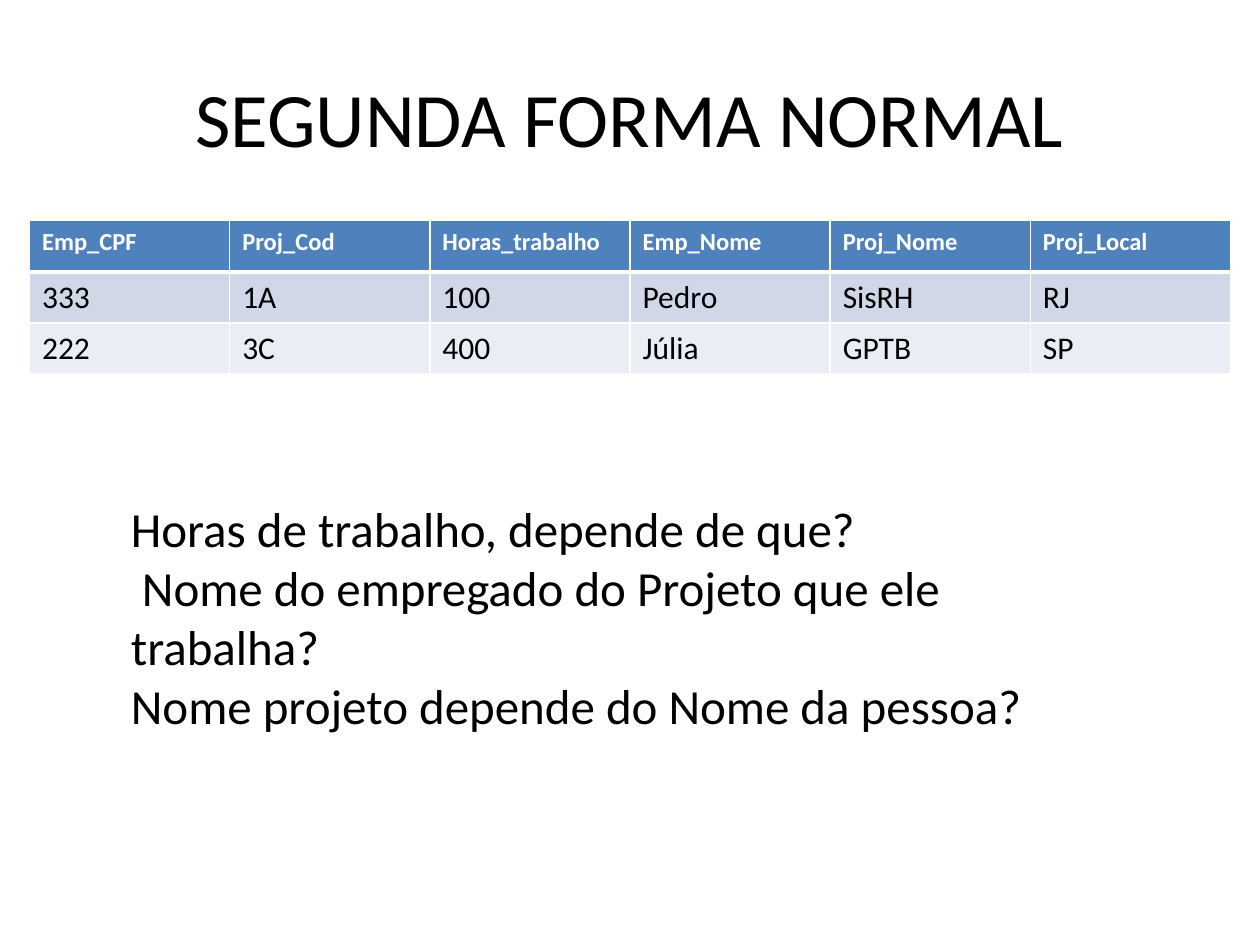
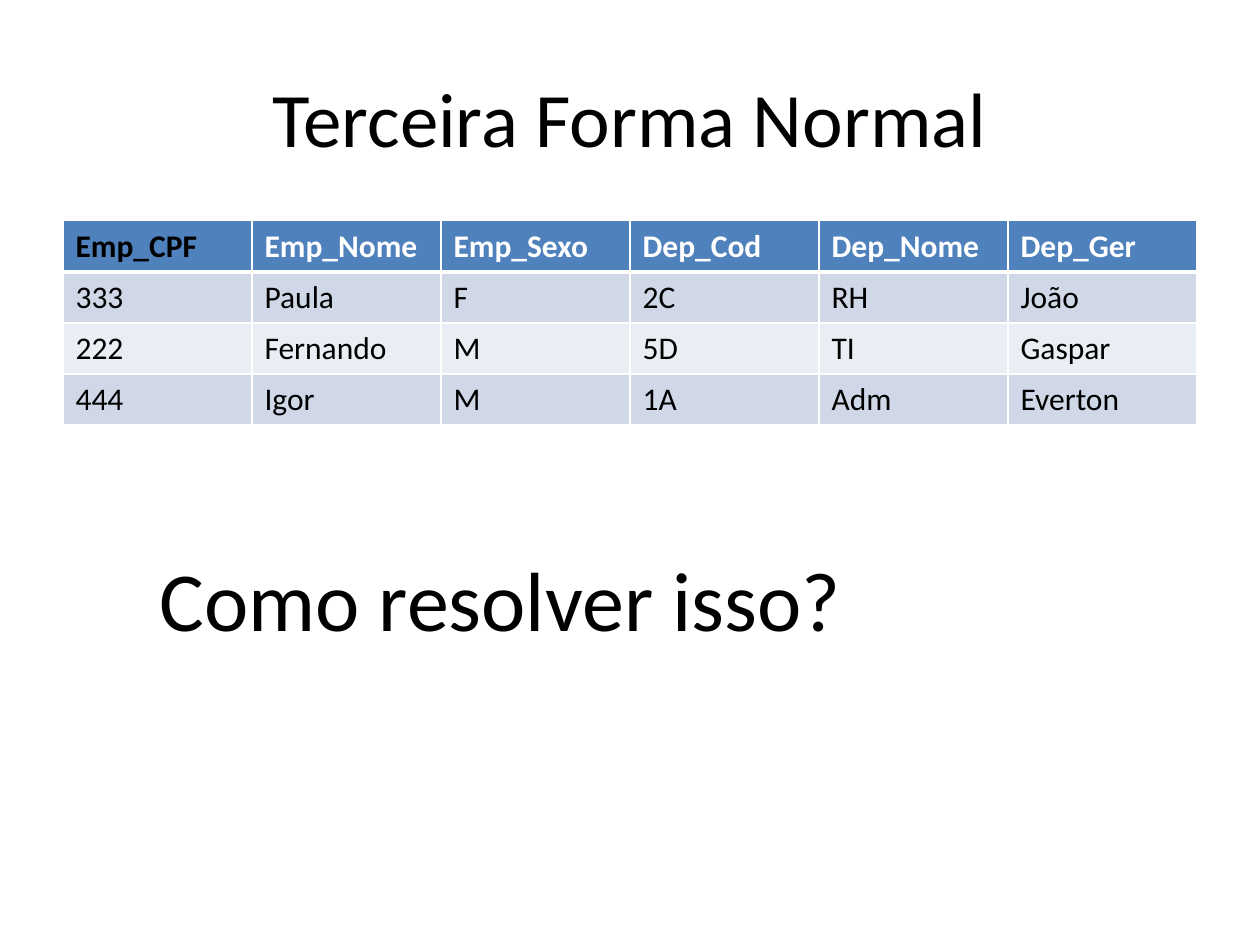
"""Build two slides about the second and third normal forms."""
from dataclasses import dataclass

from lxml.etree import SubElement
from pptx import Presentation
from pptx.dml.color import RGBColor
from pptx.enum.text import MSO_ANCHOR, MSO_AUTO_SIZE, PP_ALIGN
from pptx.oxml.ns import qn
from pptx.util import Cm, Pt


@dataclass(frozen=True)
class Theme:
    font: str = "Calibri"
    ink: str = "000000"
    paper: str = "FFFFFF"
    header: str = "4F81BD"
    bands: tuple = ("D0D8E8", "E9EDF4")
    title_size: int = 44
    cell_size: int = 18
    rule: int = 1
    header_rule: int = 3


THEME = Theme()
TITLE_AREA = (1.27, 0.76, 22.86, 3.18)
TABLE_TOP = 4.45
ROW_HEIGHT = 1.03

SLIDES = [
    {
        "title": "SEGUNDA FORMA NORMAL",
        "rows": [
            ("Emp_CPF", "Proj_Cod", "Horas_trabalho", "Emp_Nome", "Proj_Nome", "Proj_Local"),
            ("333", "1A", "100", "Pedro", "SisRH", "RJ"),
            ("222", "3C", "400", "Júlia", "GPTB", "SP"),
        ],
        "table_width": 24.21,
        "header_size": 14,
        "dark_headers": (),
        "questions": [
            "Horas de trabalho, depende de que?",
            " Nome do empregado do Projeto que ele trabalha?",
            "Nome projeto depende do Nome da pessoa?",
        ],
        "question_area": (2.39, 9.93, 20.6, 5.05),
        "question_size": 28,
    },
    {
        "title": "Terceira Forma Normal",
        "rows": [
            ("Emp_CPF", "Emp_Nome", "Emp_Sexo", "Dep_Cod", "Dep_Nome", "Dep_Ger"),
            ("333", "Paula", "F", "2C", "RH", "João"),
            ("222", "Fernando", "M", "5D", "TI", "Gaspar"),
            ("444", "Igor", "M", "1A", "Adm", "Everton"),
        ],
        "table_width": 22.86,
        "header_size": 18,
        "dark_headers": ("Emp_CPF",),
        "questions": ["Como resolver isso?"],
        "question_area": (2.97, 10.92, 18.64, 2.31),
        "question_size": 48,
    },
]


def style(paragraph, size, color=THEME.ink, bold=False):
    font = paragraph.font
    font.name, font.size, font.bold = THEME.font, Pt(size), bold
    font.color.rgb = RGBColor.from_string(color)


def add_borders(cell, bottom_width):
    properties = cell._tc.get_or_add_tcPr()
    widths = {"a:lnL": THEME.rule, "a:lnR": THEME.rule, "a:lnT": THEME.rule, "a:lnB": bottom_width}
    for position, (side, width) in enumerate(widths.items()):
        line = SubElement(properties, qn(side), w=str(Pt(width)))
        fill = SubElement(line, qn("a:solidFill"))
        SubElement(fill, qn("a:srgbClr"), val=THEME.paper)
        properties.insert(position, line)


def fill_cell(cell, text, fill, size, color, bold):
    cell.text = text
    style(cell.text_frame.paragraphs[0], size, color, bold)
    cell.fill.solid()
    cell.fill.fore_color.rgb = RGBColor.from_string(fill)
    add_borders(cell, THEME.header_rule if bold else THEME.rule)


def add_title(page, text):
    title = page.shapes.title
    title.left, title.top, title.width, title.height = map(Cm, TITLE_AREA)
    title.text_frame.text = text
    title.text_frame.vertical_anchor = MSO_ANCHOR.MIDDLE
    paragraph = title.text_frame.paragraphs[0]
    paragraph.alignment = PP_ALIGN.CENTER
    style(paragraph, THEME.title_size)


def add_records(page, content, page_width):
    rows, width = content["rows"], Cm(content["table_width"])
    table = page.shapes.add_table(
        len(rows), len(rows[0]), (page_width - width) // 2, Cm(TABLE_TOP),
        width, Cm(ROW_HEIGHT * len(rows)),
    ).table
    for row_index, values in enumerate(rows):
        table.rows[row_index].height = Cm(ROW_HEIGHT)
        for column_index, text in enumerate(values):
            cell = table.cell(row_index, column_index)
            if row_index == 0:
                color = THEME.ink if text in content["dark_headers"] else THEME.paper
                fill_cell(cell, text, THEME.header, content["header_size"], color, True)
            else:
                band = THEME.bands[(row_index - 1) % len(THEME.bands)]
                fill_cell(cell, text, band, THEME.cell_size, THEME.ink, False)


def add_questions(page, content):
    box = page.shapes.add_textbox(*map(Cm, content["question_area"]))
    frame = box.text_frame
    frame.word_wrap = True
    frame.auto_size = MSO_AUTO_SIZE.SHAPE_TO_FIT_TEXT
    frame.text = "\n".join(content["questions"])
    for paragraph in frame.paragraphs:
        style(paragraph, content["question_size"])


deck = Presentation()
deck.slide_width, deck.slide_height = Cm(25.4), Cm(19.05)
title_only = deck.slide_layouts.get_by_name("Title Only")
for content in SLIDES:
    page = deck.slides.add_slide(title_only)
    add_title(page, content["title"])
    add_records(page, content, deck.slide_width)
    add_questions(page, content)
deck.save("out.pptx")
